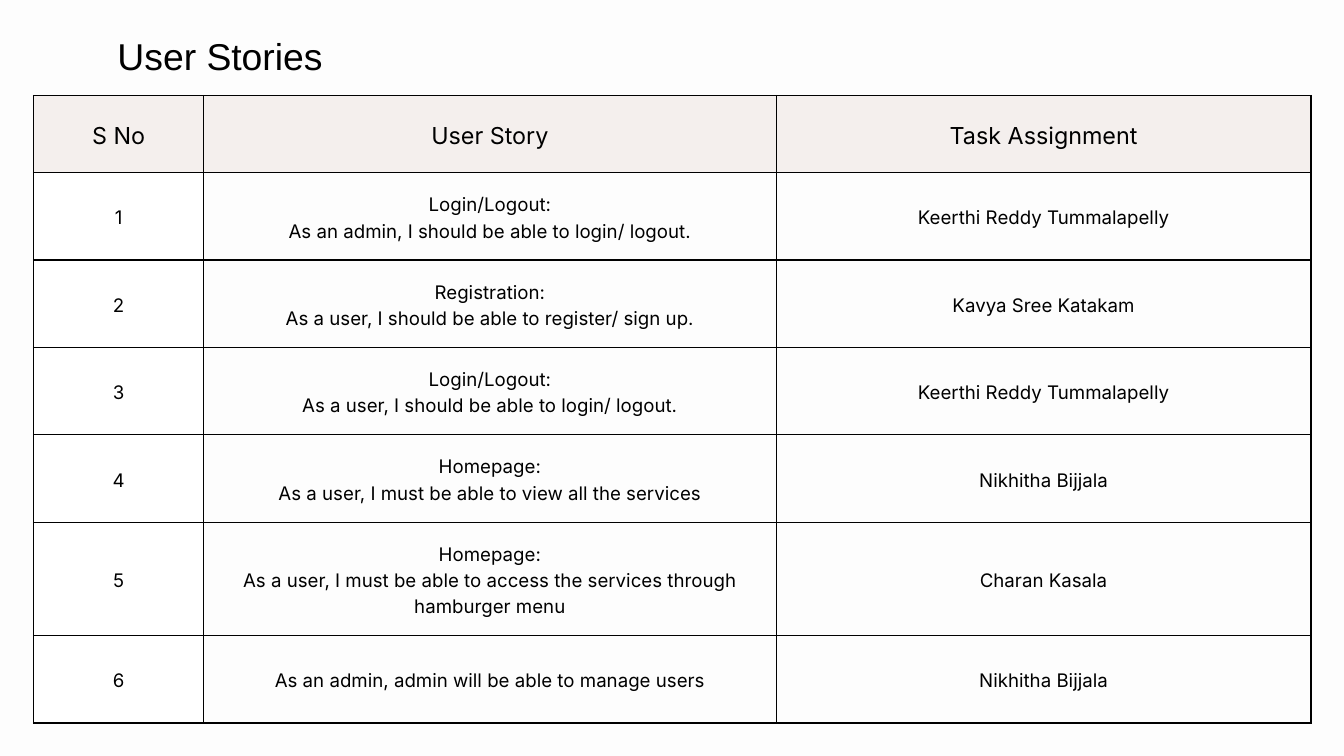
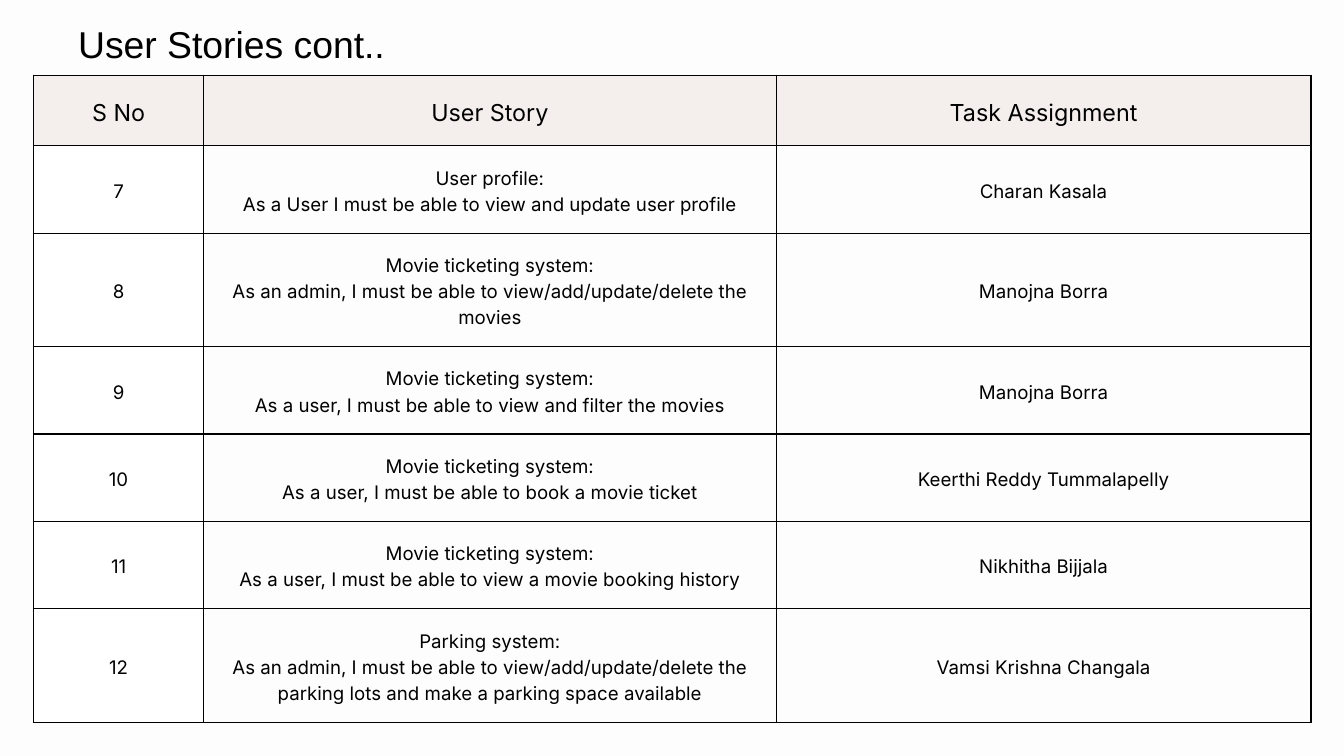
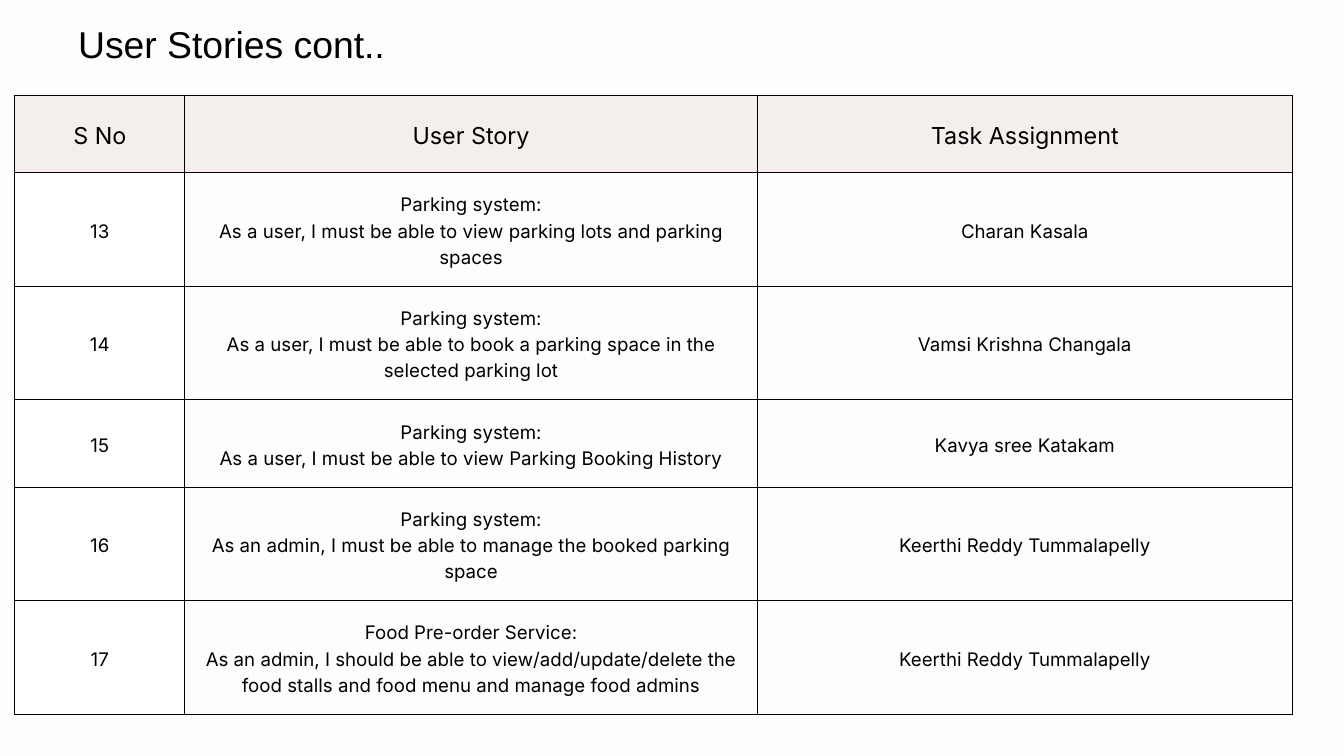
from dataclasses import dataclass

from lxml import etree
from pptx import Presentation
from pptx import util as u
from pptx.dml.color import RGBColor
from pptx.enum import text
from pptx.oxml import ns


@dataclass(frozen=True)
class Theme:
    background: str = "FDFDFD"
    header_fill: str = "F4EFED"
    number_fill: str = "FFFFFF"
    ink: str = "000000"
    title_font: str = "Arial"
    table_font: str = "Inter"
    title_size: int = 40
    header_size: int = 25
    body_size: int = 20
    leading: float = 1.4
    border: float = 1.5


THEME = Theme()
HEADINGS = ("S No", "User Story", "Task Assignment")
COLUMN_WIDTHS = (2.53, 8.52, 7.96)
CELL_MARGIN = 0.21
ROW_HEIGHT, TALL_ROW_HEIGHT = 1.3, 1.69
CHARS_PER_LINE = 60

KEERTHI = "Keerthi Reddy Tummalapelly"
KAVYA = "Kavya Sree Katakam"
NIKHITHA = "Nikhitha Bijjala"
CHARAN = "Charan Kasala"
MANOJNA = "Manojna Borra"
VAMSI = "Vamsi Krishna Changala"

MOVIES = "Movie ticketing system:"
PARKING = "Parking system:"

# Each story is its paragraphs followed by the person assigned.
ACCOUNT_STORIES = [
    ("Login/Logout:", "As an admin, I should be able to login/ logout.", KEERTHI),
    ("Registration:", "As a user, I should be able to register/ sign up.", KAVYA),
    ("Login/Logout:", "As a user, I should be able to login/ logout.", KEERTHI),
    ("Homepage:", "As a user, I must be able to view all the services", NIKHITHA),
    ("Homepage:", "As a user, I must be able to access the services through hamburger menu",
     CHARAN),
    ("As an admin, admin will be able to manage users", NIKHITHA),
]
MOVIE_STORIES = [
    ("User profile:", "As a User I must be able to view and update user profile", CHARAN),
    (MOVIES, "As an admin, I must be able to view/add/update/delete the movies", MANOJNA),
    (MOVIES, "As a user, I must be able to view and filter the movies", MANOJNA),
    (MOVIES, "As a user, I must be able to book a movie ticket", KEERTHI),
    (MOVIES, "As a user, I must be able to view a movie booking history", NIKHITHA),
    (PARKING, "As an admin, I must be able to view/add/update/delete the parking lots "
              "and make a parking space available", VAMSI),
]
PARKING_STORIES = [
    (PARKING, "As a user, I must be able to view parking lots and parking spaces", CHARAN),
    (PARKING, "As a user, I must be able to book a parking space in the selected parking lot",
     VAMSI),
    (PARKING, "As a user, I must be able to view Parking Booking History",
     "Kavya sree Katakam"),
    (PARKING, "As an admin, I must be able to manage the booked parking space", KEERTHI),
    ("Food Pre-order Service:", "As an admin, I should be able to view/add/update/delete the "
     "food stalls and food menu and manage food admins", KEERTHI),
]


def format_text(tf, font, size):
    for p in tf.paragraphs:
        p.alignment = text.PP_ALIGN.CENTER
        p.line_spacing = u.Pt(size * THEME.leading)
        p.font.name = font
        p.font.size = u.Pt(size)
        p.font.color.rgb = RGBColor.from_string(THEME.ink)


def add_title(s, title, left, top, width):
    sp = s.shapes.title
    sp.left, sp.top = u.Inches(left), u.Inches(top)
    sp.width, sp.height = u.Inches(width), u.Inches(0.74)
    tf = sp.text_frame
    tf.text = title
    tf.word_wrap = True
    tf.auto_size = text.MSO_AUTO_SIZE.NONE
    tf.vertical_anchor = text.MSO_ANCHOR.TOP
    tf.margin_left = tf.margin_right = tf.margin_top = tf.margin_bottom = 0
    format_text(tf, THEME.title_font, THEME.title_size)


def add_borders(cell):
    tc_pr = cell._tc.get_or_add_tcPr()
    for side in ("lnL", "lnR", "lnT", "lnB"):
        ln = etree.SubElement(tc_pr, ns.qn(f"a:{side}"), w=str(u.Pt(THEME.border)))
        fill = etree.SubElement(ln, ns.qn("a:solidFill"))
        etree.SubElement(fill, ns.qn("a:srgbClr"), val=THEME.ink)


def fill_cell(cell, content, size, fill):
    add_borders(cell)
    cell.fill.solid()
    cell.fill.fore_color.rgb = RGBColor.from_string(fill)
    cell.vertical_anchor = text.MSO_ANCHOR.MIDDLE
    cell.margin_left = cell.margin_right = u.Inches(CELL_MARGIN)
    cell.margin_top = cell.margin_bottom = u.Inches(CELL_MARGIN)
    cell.text_frame.text = content
    format_text(cell.text_frame, THEME.table_font, size)


def story_height(lines):
    return TALL_ROW_HEIGHT if len(lines[-1]) > CHARS_PER_LINE else ROW_HEIGHT


def add_story_table(s, stories, first_number, left, top, header_height):
    heights = [header_height] + [story_height(lines) for *lines, _ in stories]
    table = s.shapes.add_table(
        len(heights), len(COLUMN_WIDTHS), u.Inches(left), u.Inches(top),
        u.Inches(sum(COLUMN_WIDTHS)), u.Inches(sum(heights))).table
    table.first_row = table.horz_banding = False
    for column, width in zip(table.columns, COLUMN_WIDTHS):
        column.width = u.Inches(width)
    for row, height in zip(table.rows, heights):
        row.height = u.Inches(height)

    for col, heading in enumerate(HEADINGS):
        fill_cell(table.cell(0, col), heading, THEME.header_size, THEME.header_fill)
    fills = (THEME.number_fill, THEME.background, THEME.background)
    for row, (*lines, assignee) in enumerate(stories, start=1):
        contents = (str(first_number + row - 1), "\n".join(lines), assignee)
        for col, (content, fill) in enumerate(zip(contents, fills)):
            fill_cell(table.cell(row, col), content, THEME.body_size, fill)


def main():
    prs = Presentation()
    prs.slide_width, prs.slide_height = u.Inches(20), u.Inches(11.25)
    background = prs.slide_master.background.fill
    background.solid()
    background.fore_color.rgb = RGBColor.from_string(THEME.background)
    title_only = prs.slide_layouts[5]

    s = prs.slides.add_slide(title_only)
    add_title(s, "User Stories", left=-0.29, top=0.38, width=7.13)
    add_story_table(s, ACCOUNT_STORIES, 1, left=0.5, top=1.42, header_height=1.15)

    continued = [
        (MOVIE_STORIES, 7, 0.5, 1.12, 1.05),
        (PARKING_STORIES, 13, 0.22, 1.42, 1.15),
    ]
    for stories, first_number, left, top, header_height in continued:
        s = prs.slides.add_slide(title_only)
        add_title(s, "User Stories cont..", left=0.22, top=0.21, width=6.45)
        add_story_table(s, stories, first_number, left, top, header_height)

    prs.save("out.pptx")


if __name__ == "__main__":
    main()
